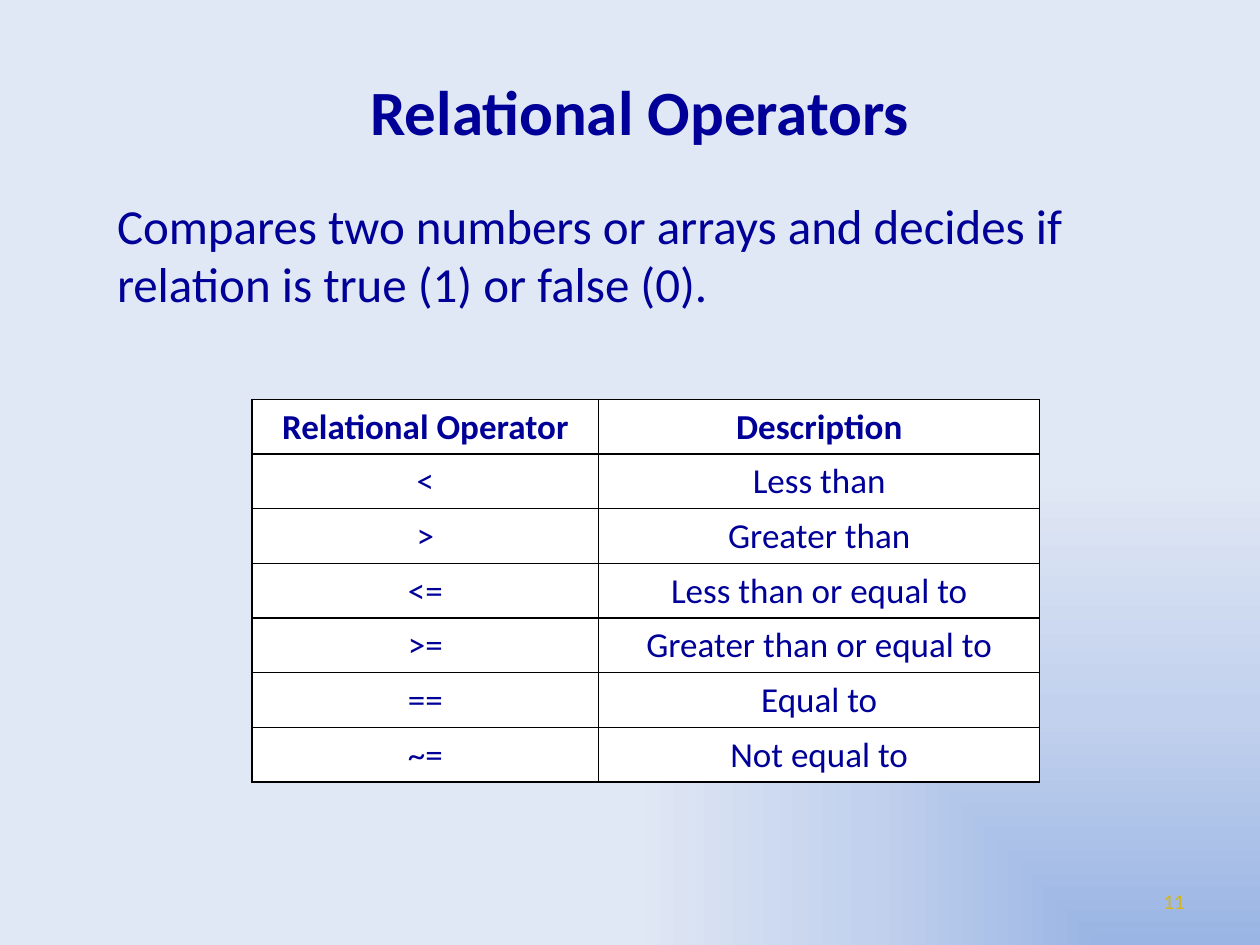
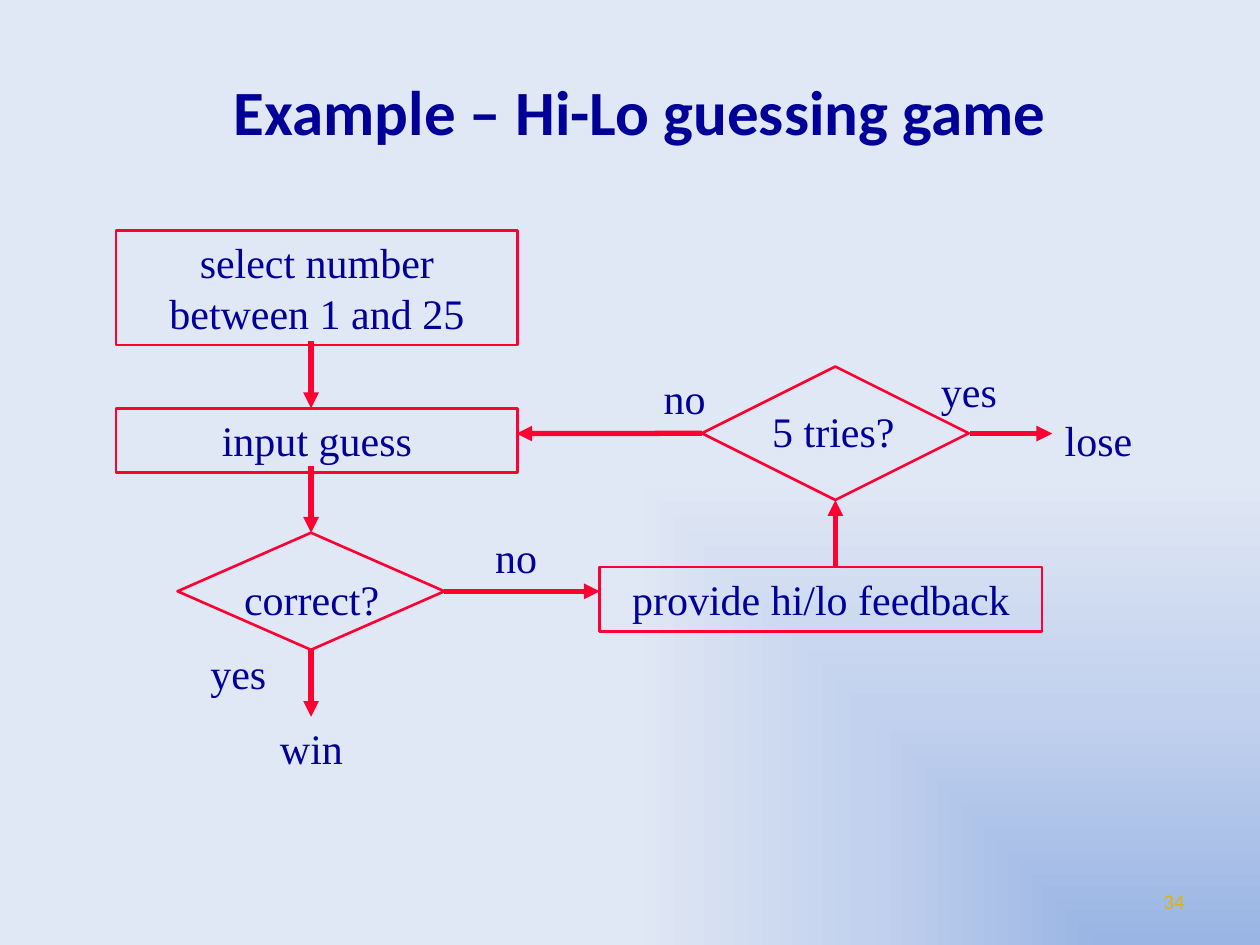
"""Build two slides: a table of relational operators and a guessing game flow chart."""
from pptx import Presentation
from pptx import oxml as ox
from pptx import util as u
from pptx.dml import color as col
from pptx.enum import shapes as shp
from pptx.enum import text as txt
from pptx.oxml import ns

NAVY, RED, GOLD, BLACK, WHITE = "000099", "FF0033", "D8B511", "000000", "FFFFFF"
SHADES = [(0, "9AB5E4"), (50, "C2D1ED"), (100, "E1E8F5")]
SANS, SERIF = "Calibri", "Times New Roman"
LEFT, MID, RIGHT = txt.PP_ALIGN.LEFT, txt.PP_ALIGN.CENTER, txt.PP_ALIGN.RIGHT
TOP, WEST, BASE, EAST = range(4)
SIGNS = [
    ("Relational Operator", "Description"),
    ("<", "Less than"),
    (">", "Greater than"),
    ("<=", "Less than or equal to"),
    (">=", "Greater than or equal to"),
    ("==", "Equal to"),
    ("~=", "Not equal to"),
]


def rgb(code):
    """Turn a hex string into a colour."""
    return col.RGBColor.from_string(code)


def xml(tag, attrs="", inner=""):
    """Make a DrawingML element."""
    return ox.parse_xml(f"<a:{tag} {ns.nsdecls('a')} {attrs}>{inner}</a:{tag}>")


def cms(box):
    """Turn numbers into centimetre lengths."""
    return [u.Cm(n) for n in box]


def write(frame, words, size, font=SANS, ink=NAVY, bold=False, align=MID):
    """Write one run into the first paragraph of a frame."""
    para = frame.paragraphs[0]
    para.alignment = align
    run = para.add_run()
    run.text = words
    run.font.size = u.Pt(size)
    run.font.name = font
    run.font.bold = bold
    run.font.color.rgb = rgb(ink)


def label(slide, box, words, size=24, font=SERIF, ink=NAVY, align=MID,
          anchor=txt.MSO_ANCHOR.TOP):
    """Add a wrapped text box."""
    frame = slide.shapes.add_textbox(*cms(box)).text_frame
    frame.word_wrap = True
    frame.vertical_anchor = anchor
    write(frame, words, size, font, ink, align=align)


def outline(slide, kind, box):
    """Add an unfilled shape with a red edge."""
    shape = slide.shapes.add_shape(kind, *cms(box))
    shape.shadow.inherit = False
    shape.fill.background()
    shape.line.color.rgb = rgb(RED)
    shape.line.width = u.Pt(1.5)
    return shape


def step(slide, box, words):
    """Add a flow chart step."""
    frame = outline(slide, shp.MSO_SHAPE.RECTANGLE, box).text_frame
    frame.word_wrap = True
    frame.vertical_anchor = txt.MSO_ANCHOR.TOP
    write(frame, words, 24, SERIF)


def test(slide, box, words, place):
    """Add a flow chart decision with its question."""
    label(slide, place, words)
    return outline(slide, shp.MSO_SHAPE.DIAMOND, box)


def arrow(slide, ends, begin=None, end=None):
    """Add a red arrow, joined to a (shape, side) where given."""
    link = slide.shapes.add_connector(shp.MSO_CONNECTOR.STRAIGHT, *cms(ends))
    if begin:
        link.begin_connect(*begin)
    if end:
        link.end_connect(*end)
    link.line.color.rgb = rgb(RED)
    link.line.width = u.Pt(3)
    props = link.element.spPr
    props.find(ns.qn("a:ln")).append(xml("tailEnd", 'type="triangle"'))
    props.append(xml("effectLst"))


def backdrop(master):
    """Give the master a gradient that darkens to the lower right."""
    master.background.fill.solid()
    props = master.element.find(".//" + ns.qn("p:bgPr"))
    stops = "".join(f'<a:gs pos="{pos * 1000}"><a:srgbClr val="{code}"/></a:gs>'
                    for pos, code in SHADES)
    focus = '<a:path path="rect"><a:fillToRect l="100000" t="100000"/></a:path>'
    grad = xml("gradFill", 'rotWithShape="0"', f"<a:gsLst>{stops}</a:gsLst>{focus}")
    props.replace(props[0], grad)


def page(deck, title, number):
    """Add a slide with its title and number."""
    slide = deck.slides.add_slide(deck.slide_layouts[5])
    head = slide.shapes.title
    head.left, head.top, head.width, head.height = cms((1.47, 0.64, 22.86, 3.18))
    head.text_frame.vertical_anchor = txt.MSO_ANCHOR.MIDDLE
    write(head.text_frame, title, 36, bold=True)
    label(slide, (18.21, 17.65, 5.92, 1.02), number, 12, SANS, GOLD, RIGHT,
          txt.MSO_ANCHOR.MIDDLE)
    return slide


def edge(cell):
    """Draw black borders around a cell."""
    ink = f'<a:solidFill><a:srgbClr val="{BLACK}"/></a:solidFill>'
    for side in "LRTB":
        cell._tc.get_or_add_tcPr().append(xml("ln" + side, 'w="12700"', ink))


def grid(slide, rows, left, top, widths, height):
    """Add a white table with a bold first row."""
    size = cms((left, top, sum(widths), height * len(rows)))
    table = slide.shapes.add_table(len(rows), len(widths), *size).table
    for column, width in zip(table.columns, widths):
        column.width = u.Cm(width)
    for i, row in enumerate(rows):
        for j, words in enumerate(row):
            cell = table.cell(i, j)
            edge(cell)
            cell.fill.solid()
            cell.fill.fore_color.rgb = rgb(WHITE)
            write(cell.text_frame, words, 20, bold=i == 0)


def signs(deck):
    """Build the slide on relational operators."""
    slide = page(deck, "Relational Operators", "11")
    grid(slide, SIGNS, 5.08, 8.05, (6.99, 8.89), 1.1)
    label(slide, (2.11, 3.81, 20.96, 2.64),
          "Compares two numbers or arrays and decides if relation is true (1) or false (0).",
          28, SANS, align=LEFT)


def game(deck):
    """Build the slide with the guessing game."""
    slide = page(deck, "Example – Hi-Lo guessing game", "34")
    step(slide, (2.34, 4.65, 8.1, 2.31), "select number between 1 and 25")
    step(slide, (2.34, 8.23, 8.1, 1.3), "input guess")
    step(slide, (12.09, 11.43, 8.92, 1.3), "provide hi/lo feedback")
    guess = test(slide, (3.58, 10.74, 5.38, 2.36), "correct?", (4.62, 11.43, 3.33, 1.3))
    tries = test(slide, (14.15, 7.39, 5.38, 2.69), "5 tries?", (15.24, 8.05, 3.12, 1.3))

    for box, words in [
        ((3.99, 12.93, 2.29, 1.3), "yes"),
        ((9.73, 10.59, 1.65, 1.3), "no"),
        ((18.72, 7.24, 2.08, 1.3), "yes"),
        ((13.13, 7.39, 1.45, 1.3), "no"),
    ]:
        label(slide, box, words, align=LEFT)
    label(slide, (4.83, 14.45, 2.9, 1.3), "win")
    label(slide, (20.8, 8.23, 2.69, 1.3), "lose")

    down, up, high, low = 6.27, 16.84, 8.74, 11.92
    arrow(slide, (down, 6.88, down, 8.23))
    arrow(slide, (down, 9.4, down, 10.74), end=(guess, TOP))
    arrow(slide, (down, 13.1, down, 14.45), begin=(guess, BASE))
    arrow(slide, (8.96, low, 12.09, low), begin=(guess, EAST))
    arrow(slide, (up, 11.43, up, 10.08), end=(tries, BASE))
    arrow(slide, (14.15, high, 10.41, high), begin=(tries, WEST))
    arrow(slide, (19.56, high, 21.21, high))


def main():
    """Build and save the deck."""
    deck = Presentation()
    deck.slide_width, deck.slide_height = cms((25.4, 19.05))
    backdrop(deck.slide_master)
    signs(deck)
    game(deck)
    deck.save("out.pptx")


if __name__ == "__main__":
    main()
